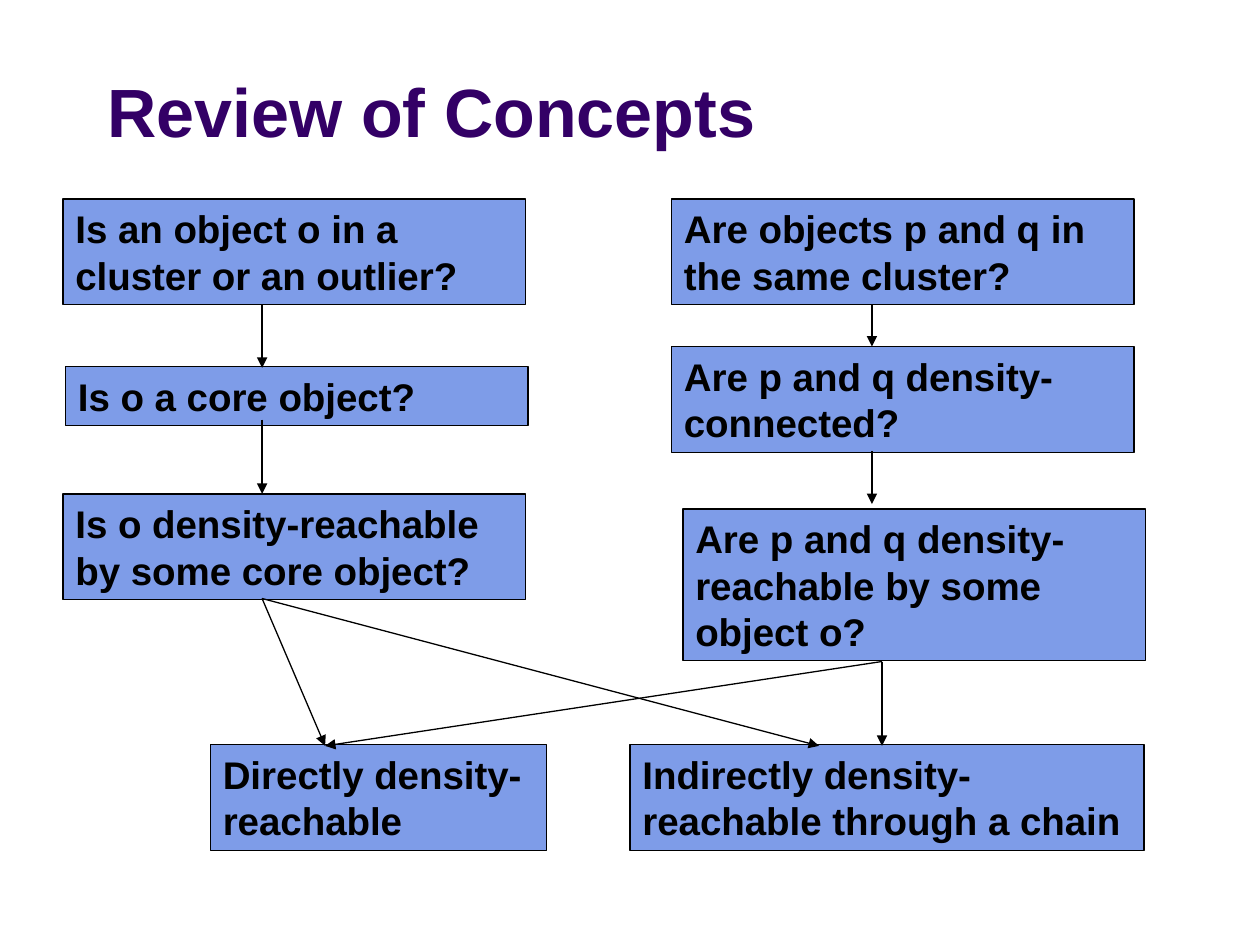
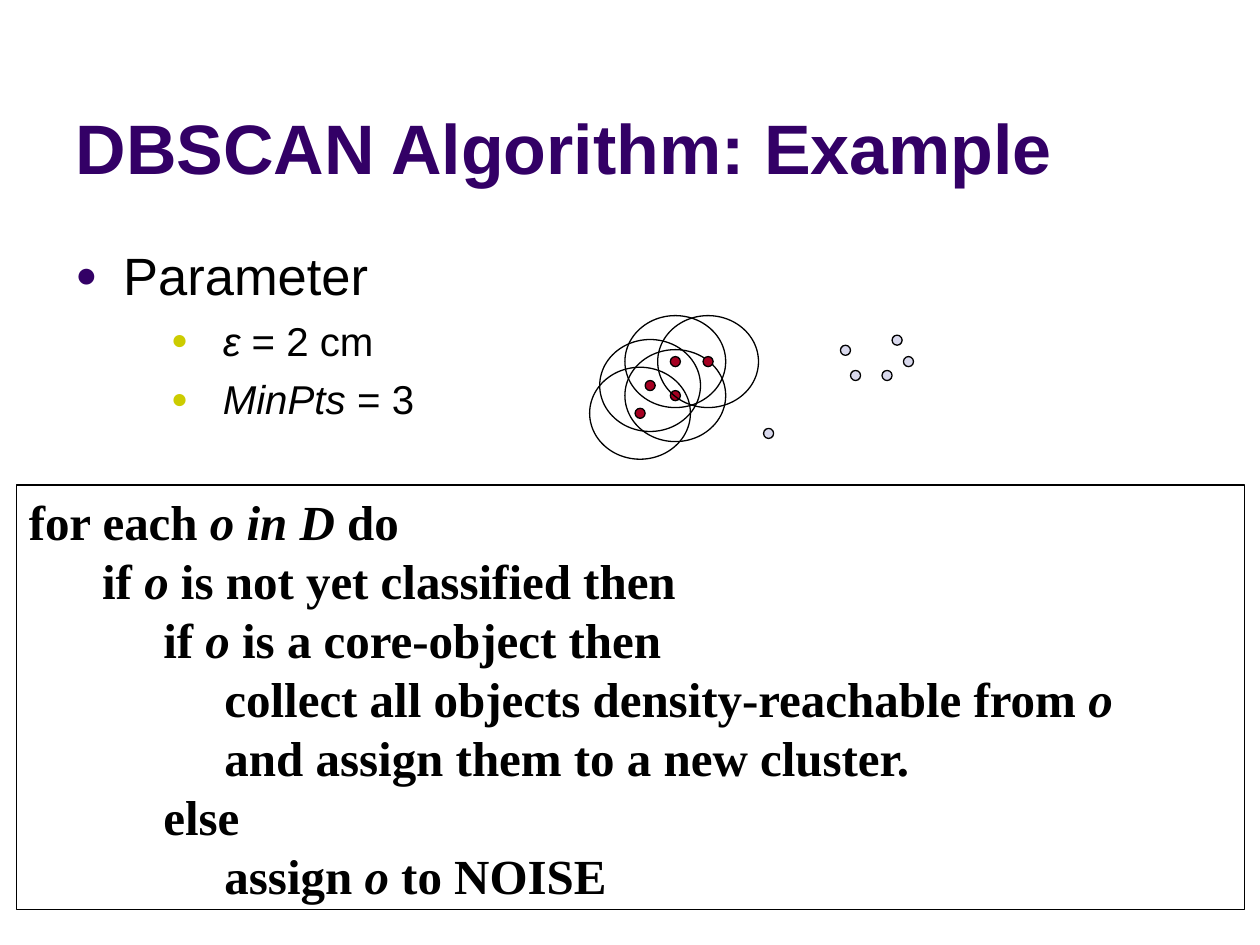
import pptx
import pptx.dml.color
import pptx.enum.shapes
import pptx.enum.text
import pptx.oxml
import pptx.oxml.ns
import pptx.util
from lxml import etree

Inches = pptx.util.Inches
Pt = pptx.util.Pt
SHAPE = pptx.enum.shapes.MSO_SHAPE
ANCHOR = pptx.enum.text.MSO_ANCHOR

PURPLE, BLACK, BLUE = "330066", "000000", "7E9CE8"
OLIVE, RED, LAVENDER = "CCCC00", "A50021", "D8D8EC"
SANS, SERIF = "Arial", "Times New Roman"

CIRCLE_SIZE = (0.8, 0.73)
DOT_SIZE = (0.08, 0.08)

# Left, top, width, height, wording
CONCEPTS = [
    (5.33, 1.58, 3.67, 0.84, "Are objects p and q in the same cluster?"),
    (5.33, 2.75, 3.67, 0.84, "Are p and q density-connected?"),
    (5.42, 4.04, 3.67, 1.2, "Are p and q density-reachable by some object o?"),
    (1.67, 5.91, 2.67, 0.84, "Directly density-reachable"),
    (5, 5.91, 4.08, 0.84, "Indirectly density-reachable through a chain"),
    (0.5, 1.58, 3.67, 0.84, "Is an object o in a cluster or an outlier?"),
    (0.52, 2.91, 3.67, 0.47, "Is o a core object?"),
    (0.5, 3.92, 3.67, 0.84, "Is o density-reachable by some core object?"),
]
# Start x, start y, end x, end y
ARROWS = [
    (2.08, 2.42, 2.08, 2.92),
    (2.08, 3.33, 2.08, 3.92),
    (2.08, 4.75, 2.58, 5.92),
    (2.08, 4.75, 6.5, 5.92),
    (6.92, 2.42, 6.92, 2.75),
    (6.92, 3.58, 6.92, 4),
    (7, 5.25, 2.58, 5.92),
    (7, 5.25, 7, 5.92),
]
# Centres of the points
UNVISITED_POINTS = [(6.79, 2.98), (6.71, 2.78), (7.04, 2.98),
                    (7.21, 2.87), (7.12, 2.7), (6.1, 3.44)]
CLUSTER_POINTS = [(5.08, 3.28), (5.16, 3.06), (5.36, 2.87),
                  (5.36, 3.14), (5.62, 2.87)]
# Asterisks enclose italics
PSEUDOCODE = [
    "for each *o in D* do",
    "      if *o* is not yet classified then",
    "           if *o* is a core-object then",
    "                collect all objects density-reachable from *o*",
    "                and assign them to a new cluster.",
    "           else",
    "                assign *o* to NOISE",
]


def rgb(color):
    return pptx.dml.color.RGBColor.from_string(color)


def style(para, size, color=BLACK, name=SANS, bold=False):
    font = para.font
    font.size, font.name, font.bold = Pt(size), name, bold
    font.color.rgb = rgb(color)


def write_spans(para, text):
    """Write text whose parts between asterisks are italic."""
    for index, part in enumerate(text.split("*")):
        if part:
            span = para.add_run()
            span.text = part
            if index % 2:
                span.font.italic = True


def add_titled_page(deck, title, area, size):
    page = deck.slides.add_slide(deck.slide_layouts[5])
    box = page.shapes.title
    box.left, box.top, box.width, box.height = map(Inches, area)
    box.text_frame.text = title
    box.text_frame.vertical_anchor = ANCHOR.BOTTOM
    para = box.text_frame.paragraphs[0]
    para.alignment = pptx.enum.text.PP_ALIGN.LEFT
    style(para, size, PURPLE, bold=True)
    return page


def add_outlined(shapes, kind, area, fill=None):
    shape = shapes.add_shape(kind, *map(Inches, area))
    shape.shadow.inherit = False
    if fill:
        shape.fill.solid()
        shape.fill.fore_color.rgb = rgb(fill)
    else:
        shape.fill.background()
    shape.line.color.rgb = rgb(BLACK)
    shape.line.width = Pt(0.75)
    return shape


def add_text_panel(page, area, lines, size, leading, name=SANS, fill=None):
    panel = add_outlined(page.shapes, SHAPE.RECTANGLE, area, fill)
    frame = panel.text_frame
    frame.word_wrap = True
    frame.vertical_anchor = ANCHOR.TOP
    for index, line in enumerate(lines):
        para = frame.add_paragraph() if index else frame.paragraphs[0]
        para.alignment = pptx.enum.text.PP_ALIGN.LEFT
        para.line_spacing = Pt(leading)
        write_spans(para, line)
        style(para, size, name=name, bold=True)


def add_arrow(page, ends):
    arrow = page.shapes.add_connector(
        pptx.enum.shapes.MSO_CONNECTOR.STRAIGHT, *map(Inches, ends))
    arrow.line.color.rgb = rgb(BLACK)
    arrow.line.width = Pt(0.75)
    qn = pptx.oxml.ns.qn
    etree.SubElement(arrow.line._get_or_add_ln(), qn("a:tailEnd"), type="triangle")
    etree.SubElement(arrow._element.spPr, qn("a:effectLst"))


def add_centred_ellipse(shapes, centre, size, fill=None):
    (x, y), (width, height) = centre, size
    area = (x - width / 2, y - height / 2, width, height)
    add_outlined(shapes, SHAPE.OVAL, area, fill)


def add_bullet(para, color, margin, hanging):
    qn = pptx.oxml.ns.qn
    props = para._p.get_or_add_pPr()
    props.set("marL", str(Inches(margin)))
    props.set("indent", str(-Inches(hanging)))
    bullet_color = etree.SubElement(props, qn("a:buClr"))
    etree.SubElement(bullet_color, qn("a:srgbClr"), val=color)
    etree.SubElement(props, qn("a:buSzPct"), val="70000")
    etree.SubElement(props, qn("a:buFont"), typeface=SANS)
    etree.SubElement(props, qn("a:buChar"), char="●")


def add_parameters(page):
    box = page.shapes.add_textbox(*map(Inches, (0.5, 1.88, 9, 1.8)))
    frame = box.text_frame
    frame.word_wrap = True
    heading = frame.paragraphs[0]
    add_bullet(heading, PURPLE, 0.38, 0.38)
    heading.line_spacing = Pt(36)
    write_spans(heading, "Parameter")
    style(heading, 30)
    for setting in ("*ε* = 2 cm", "*MinPts* = 3"):
        para = frame.add_paragraph()
        para.level = 2
        add_bullet(para, OLIVE, 1.17, 0.41)
        para.line_spacing = Pt(27.5)
        para.space_before = Pt(5.8)
        write_spans(para, setting)
        style(para, 23)


def build_concepts(deck):
    page = add_titled_page(deck, "Review of Concepts", (0.75, 0, 8.5, 1.25), 39)
    for *area, wording in CONCEPTS:
        add_text_panel(page, area, [wording], 22, 26.5, fill=BLUE)
    for ends in ARROWS:
        add_arrow(page, ends)


def build_example(deck):
    page = add_titled_page(deck, "DBSCAN Algorithm: Example", (0.5, 0.13, 9, 1.42), 40)
    add_parameters(page)
    for centre in UNVISITED_POINTS:
        add_centred_ellipse(page.shapes, centre, DOT_SIZE, LAVENDER)
    for centre in CLUSTER_POINTS:
        neighbourhood = page.shapes.add_group_shape().shapes
        add_centred_ellipse(neighbourhood, centre, CIRCLE_SIZE)
        add_centred_ellipse(neighbourhood, centre, DOT_SIZE, RED)
    add_text_panel(page, (0.13, 3.85, 9.75, 3.37), PSEUDOCODE, 28, 33.7, SERIF)


def main():
    deck = pptx.Presentation()
    deck.slide_width, deck.slide_height = Inches(10), Inches(7.5)
    build_concepts(deck)
    build_example(deck)
    deck.save("out.pptx")


if __name__ == "__main__":
    main()
